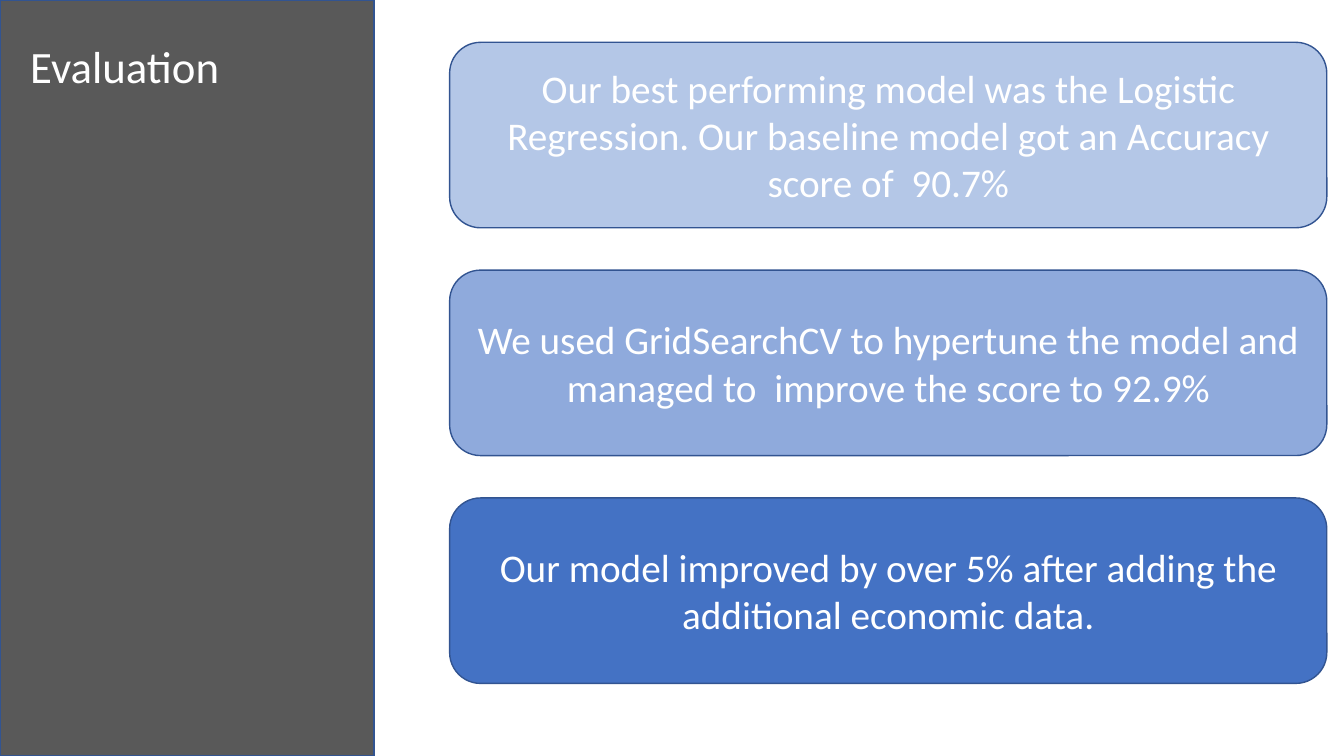
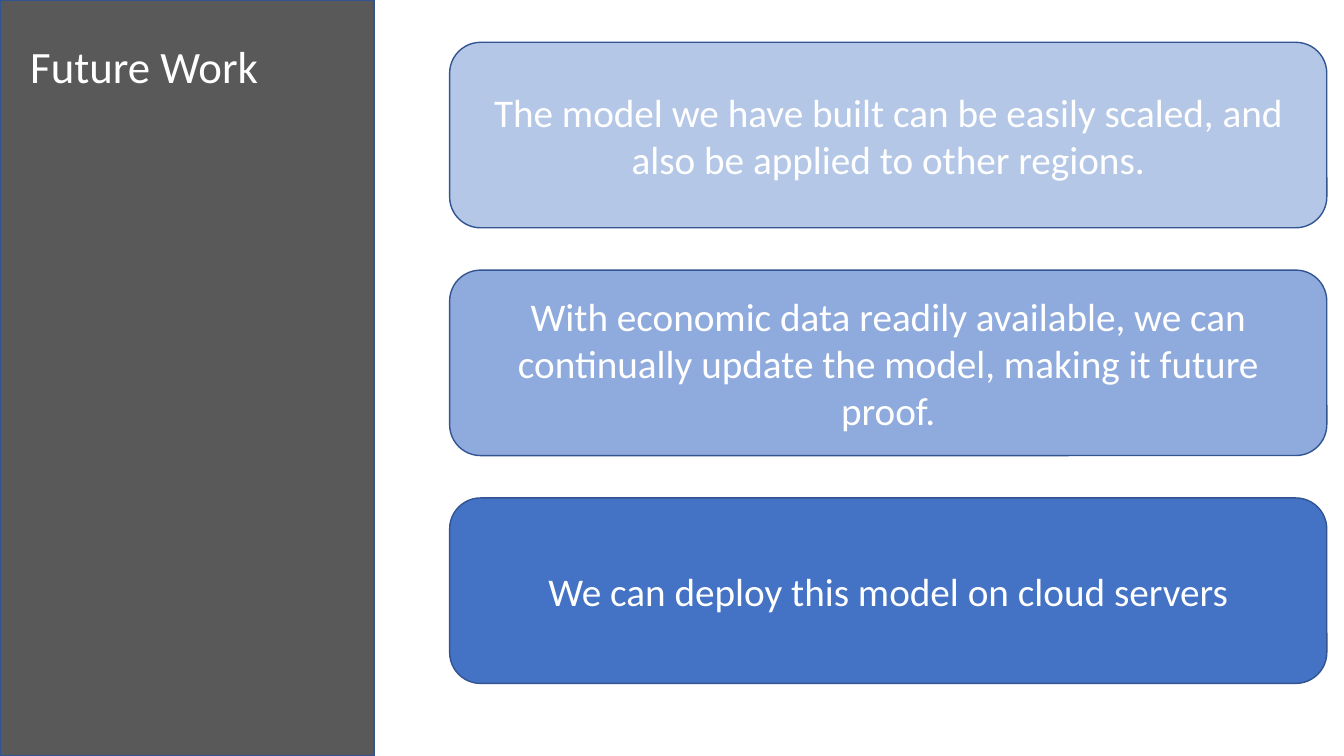
from pptx import Presentation
from pptx import util as u
from pptx.dml.color import RGBColor
from pptx.enum import shapes, text

FONT = "Calibri"
COLORS = {
    "band": "595959",
    "outline": "325491",
    "text": "FFFFFF",
    "light": "B4C7E7",
    "medium": "8FAADC",
    "strong": "4472C4",
}
CARD_FILLS = ("light", "medium", "strong")
CARD_LEFT, CARD_TOP, CARD_WIDTH, CARD_HEIGHT = 4.46, 0.42, 8.7, 1.84
CARD_STEP = 2.26
TITLE_ONLY = 5

SLIDES = [
    ("Evaluation", [
        "Our best performing model was the Logistic Regression. "
        "Our baseline model got an Accuracy score of  90.7%",
        "We used GridSearchCV to hypertune the model and "
        "managed to  improve the score to 92.9%",
        "Our model improved by over 5% after adding the additional economic data.",
    ]),
    ("Future Work", [
        "The model we have built can be easily scaled, "
        "and also be applied to other regions.",
        "With economic data readily available, we can continually "
        "update the model, making it future proof.",
        "We can deploy this model on cloud servers",
    ]),
]


def color(name):
    return RGBColor.from_string(COLORS[name])


def write(sp, content, size, align, anchor):
    tf = sp.text_frame
    tf.text = content
    tf.word_wrap = True
    tf.auto_size = text.MSO_AUTO_SIZE.NONE
    tf.vertical_anchor = anchor
    p = tf.paragraphs[0]
    p.alignment = align
    font = p.runs[0].font
    font.name = FONT
    font.size = u.Pt(size)
    font.color.rgb = color("text")


def add_box(s, kind, left, top, width, height, fill):
    sp = s.shapes.add_shape(kind, u.Inches(left), u.Inches(top),
                            u.Inches(width), u.Inches(height))
    sp.shadow.inherit = False
    sp.fill.solid()
    sp.fill.fore_color.rgb = color(fill)
    sp.line.color.rgb = color("outline")
    sp.line.width = u.Pt(1)
    return sp


def add_title_band(s, title):
    band = add_box(s, shapes.MSO_SHAPE.RECTANGLE, 0, 0, 3.71, 7.5, "band")
    sp = s.shapes.title
    sp.element.addprevious(band.element)
    sp.left, sp.top = u.Inches(0.2), u.Inches(0.33)
    sp.width, sp.height = u.Inches(3.23), u.Inches(0.64)
    write(sp, title, 32, text.PP_ALIGN.LEFT, text.MSO_ANCHOR.TOP)


def add_cards(s, messages):
    for i, (message, fill) in enumerate(zip(messages, CARD_FILLS)):
        card = add_box(s, shapes.MSO_SHAPE.ROUNDED_RECTANGLE, CARD_LEFT,
                       CARD_TOP + i * CARD_STEP, CARD_WIDTH, CARD_HEIGHT, fill)
        write(card, message, 28, text.PP_ALIGN.CENTER, text.MSO_ANCHOR.MIDDLE)


def main():
    prs = Presentation()
    prs.slide_width, prs.slide_height = u.Inches(13.33), u.Inches(7.5)
    for title, messages in SLIDES:
        s = prs.slides.add_slide(prs.slide_layouts[TITLE_ONLY])
        add_title_band(s, title)
        add_cards(s, messages)
    prs.save("out.pptx")


main()
